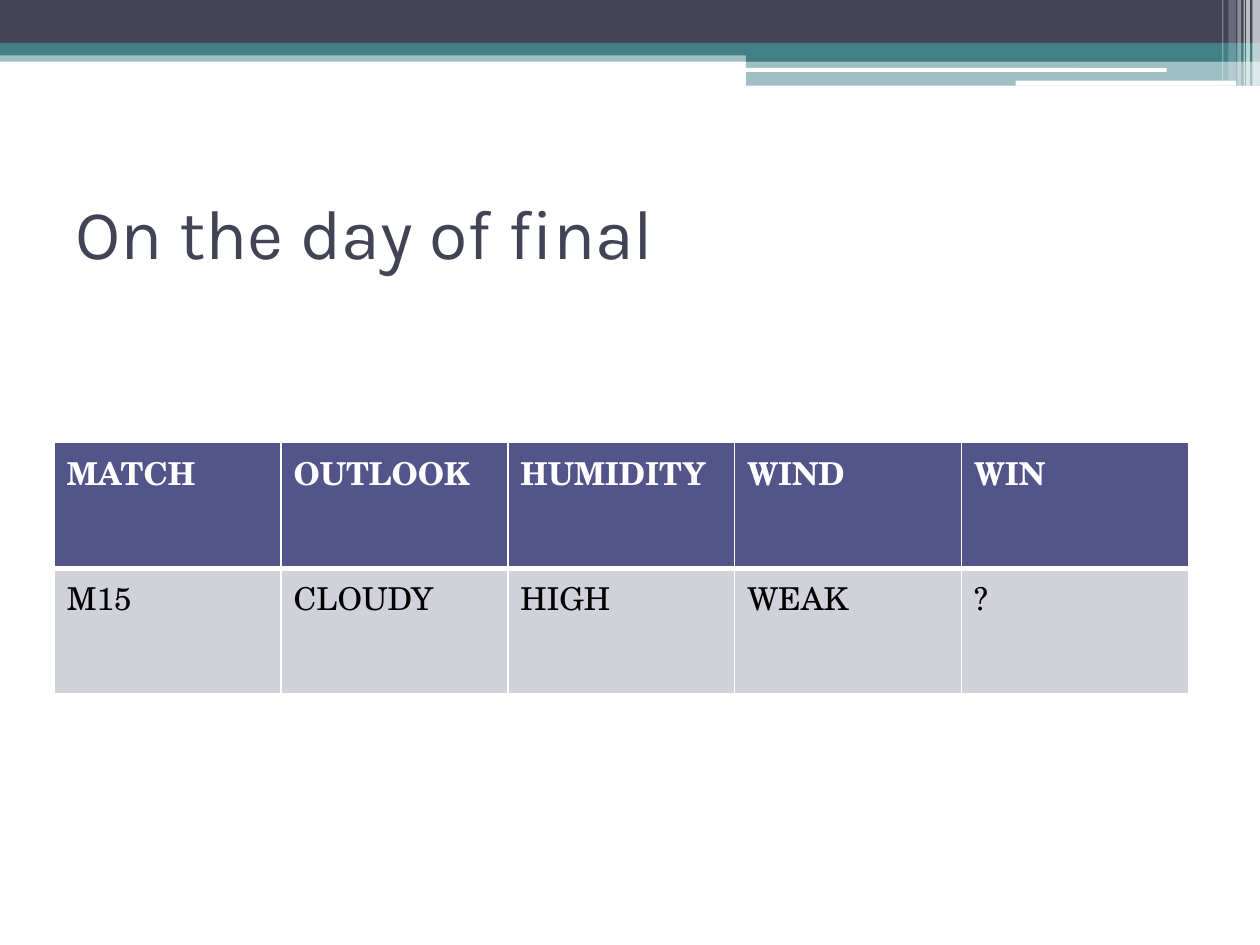
from lxml.etree import SubElement
from pptx import Presentation
from pptx.dml.color import RGBColor
from pptx.enum.shapes import MSO_SHAPE as Shape
from pptx.enum.text import MSO_ANCHOR as Anchor, PP_ALIGN as Align
from pptx.oxml.ns import qn
from pptx.util import Pt

WHITE, SLATE, TEAL = "FFFFFF", "424456", "438086"
INDIGO, LAVENDER, BLACK = "53548A", "D1D1DA", "000000"

BANDS = [
    (0, 28.8, 720, 6.48, TEAL, 50),
    (0, 0, 720, 24.48, SLATE, 100),
    (0, 24.48, 720, 7.2, TEAL, 100),
    (426.24, 28.08, 293.76, 7.2, TEAL, 100),
    (426.24, 34.9, 293.76, 14.1, TEAL, 50),
]
HIGHLIGHTS = [(425.5, 38.9, 241.2, 2.16), (580.32, 46.1, 126, 2.88)]
STRIPES = [
    (715.68, 4.32, 48.96, 65),
    (712.08, 2.16, 48.96, 65),
    (710.64, 0.72, 48.96, 60),
    (707.04, 2.16, 48.96, 40),
    (702, 4.32, 46.08, 20),
    (698.4, 0.72, 46.08, 30),
]
MATCH_ROWS = [
    ["MATCH", "OUTLOOK", "HUMIDITY", "WIND", "WIN"],
    ["M15", "CLOUDY", "HIGH", "WEAK", "?"],
]


def paint(fill, color, opacity=100):
    """Apply a solid colour with an opacity in percent."""
    fill.solid()
    fill.fore_color.rgb = RGBColor.from_string(color)
    if opacity < 100:
        rgb = fill._xPr.find(".//" + qn("a:srgbClr"))
        SubElement(rgb, qn("a:alpha"), val=str(opacity * 1000))


def write(frame, text, *, font, size, color, bold=False, anchor=Anchor.TOP):
    """Put one formatted line of left-aligned text into a text frame."""
    frame.vertical_anchor = anchor
    line = frame.paragraphs[0]
    line.alignment = Align.LEFT
    run = line.add_run()
    run.text = text
    run.font.name, run.font.size, run.font.bold = font, Pt(size), bold
    run.font.color.rgb = RGBColor.from_string(color)


def edge(cell, side, width):
    """Draw one white border of a table cell."""
    border = SubElement(cell._tc.get_or_add_tcPr(), qn("a:ln" + side), w=str(Pt(width)))
    SubElement(SubElement(border, qn("a:solidFill")), qn("a:srgbClr"), val=WHITE)


class Deck:
    """Hold the style and the current slide."""

    heading = dict(font="Karla", size=40, color=SLATE, anchor=Anchor.MIDDLE)
    header = dict(font="TeX Gyre Schola", size=18, color=WHITE, bold=True)
    body = dict(font="TeX Gyre Schola", size=18, color=BLACK)

    def __init__(self):
        """Start a presentation with one title-only slide."""
        self.deck = Presentation()
        self.deck.slide_width, self.deck.slide_height = Pt(720), Pt(540)
        self.slide = self.deck.slides.add_slide(self.deck.slide_layouts[5])

    def bar(self, left, top, width, height, color, opacity=100, kind=Shape.RECTANGLE):
        """Add a filled bar without an outline."""
        bar = self.slide.shapes.add_shape(kind, Pt(left), Pt(top), Pt(width), Pt(height))
        bar.shadow.inherit = False
        bar.line.fill.background()
        paint(bar.fill, color, opacity)

    def title(self, text, left, top, width, height):
        """Place and fill the title."""
        title = self.slide.shapes.title
        title.left, title.top = Pt(left), Pt(top)
        title.width, title.height = Pt(width), Pt(height)
        write(title.text_frame, text, **self.heading)

    def table(self, rows, left, top, width, height):
        """Add a table with a header row and white rules."""
        table = self.slide.shapes.add_table(
            len(rows), len(rows[0]), Pt(left), Pt(top), Pt(width), Pt(height)).table
        table.horz_banding = False
        for r, row in enumerate(rows):
            for c, text in enumerate(row):
                cell = table.cell(r, c)
                for side in "LRTB":
                    at_header_rule = (r, side) in ((0, "B"), (1, "T"))
                    edge(cell, side, 3 if at_header_rule else 1)
                paint(cell.fill, LAVENDER if r else INDIGO)
                write(cell.text_frame, text, **(self.body if r else self.header))


def main():
    """Build and save the slide."""
    deck = Deck()
    for band in BANDS:
        deck.bar(*band)
    for highlight in HIGHLIGHTS:
        deck.bar(*highlight, WHITE, kind=Shape.ROUNDED_RECTANGLE)
    for left, width, height, opacity in STRIPES:
        deck.bar(left, 0, width, height, WHITE, opacity)
    deck.title("On the day of final", 36, 90, 648, 84.24)
    deck.table(MATCH_ROWS, 31, 252.7, 648, 144)
    deck.deck.save("out.pptx")


if __name__ == "__main__":
    main()
